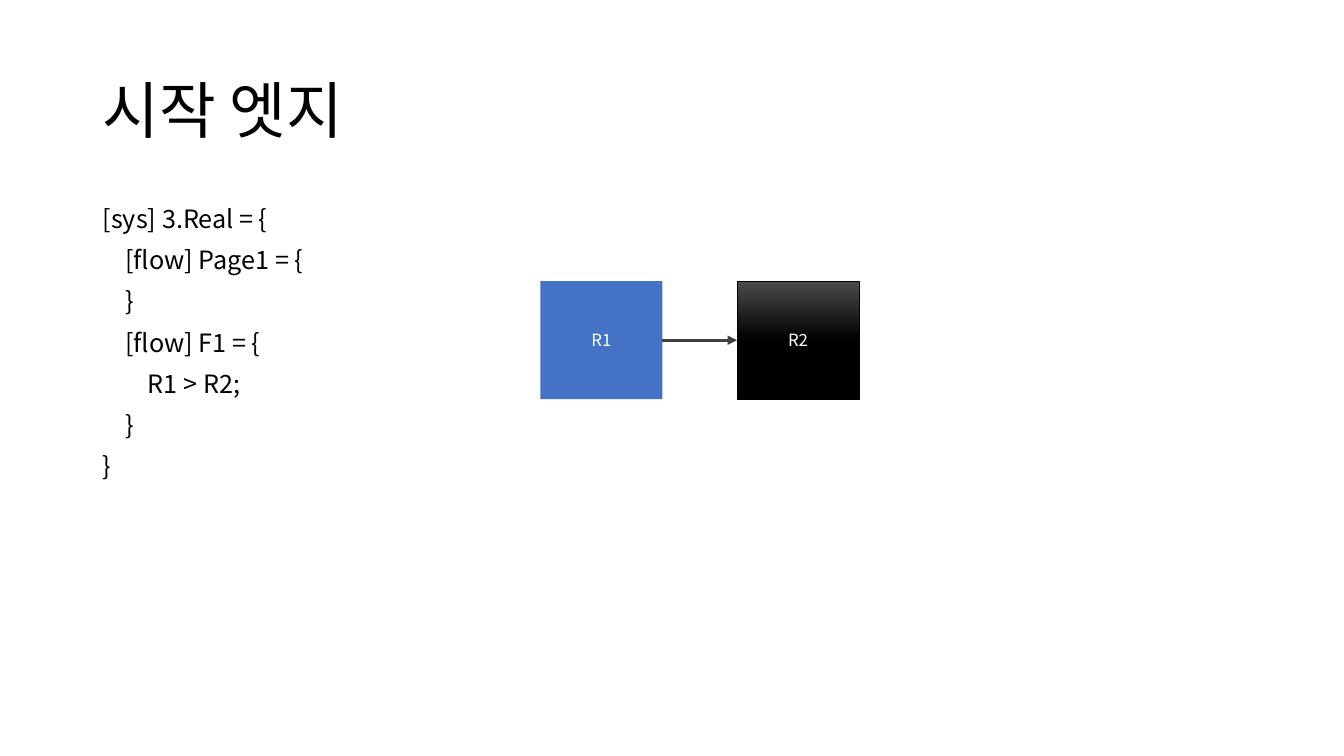
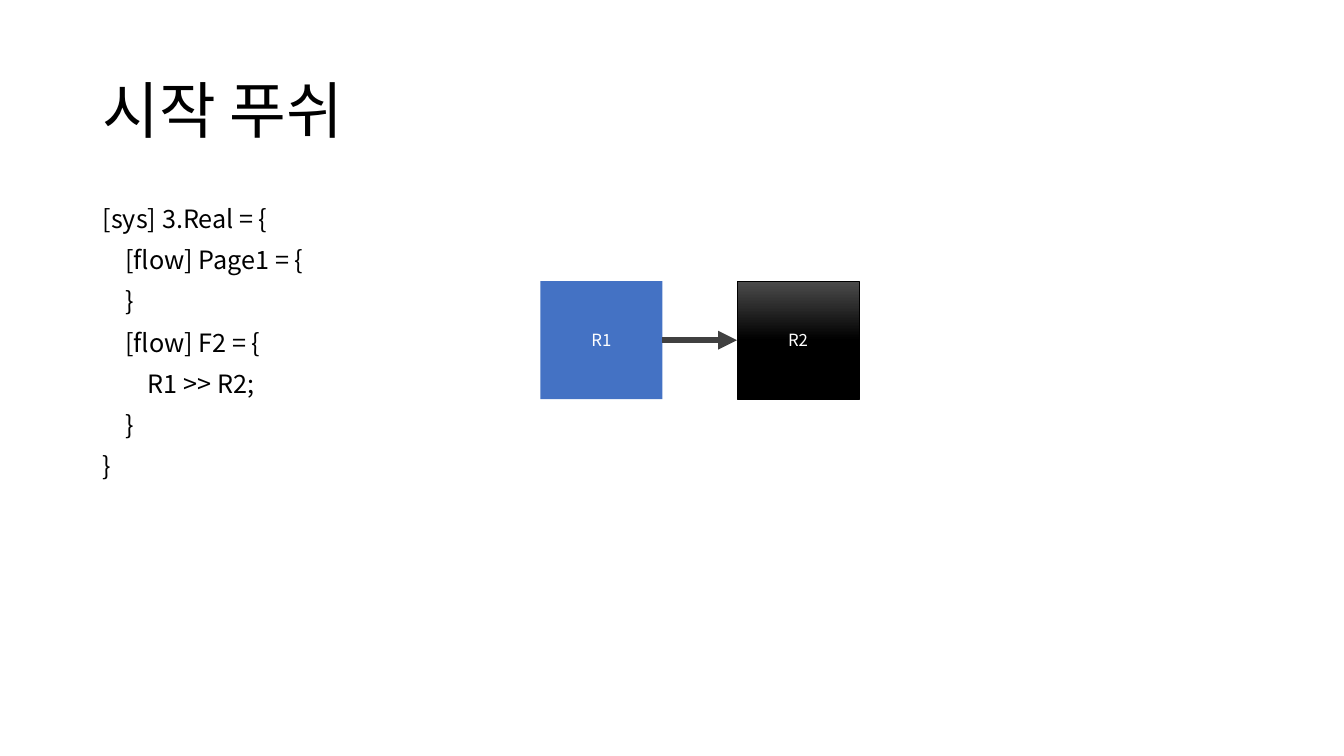
from copy import deepcopy

from lxml import etree
from pptx import Presentation
from pptx import util as u
from pptx.dml.color import RGBColor
from pptx.enum import shapes, text
from pptx.oxml import ns

FONT = "Noto Sans CJK KR"
BLACK = RGBColor(0x00, 0x00, 0x00)
WHITE = RGBColor(0xFF, 0xFF, 0xFF)
BLUE = RGBColor(0x44, 0x72, 0xC4)
GRAY = RGBColor(0x4B, 0x4B, 0x4B)
ARROW = RGBColor(0x40, 0x40, 0x40)

CODE = """[sys] 3.Real = {{
    [flow] Page1 = {{
    }}
    [flow] {flow} = {{
        R1 {operator} R2;
    }}
}}"""

SLIDES = [
    {"title": "시작 엣지", "flow": "F1", "operator": ">", "arrow_width": 2.25},
    {"title": "시작 푸쉬", "flow": "F2", "operator": ">>", "arrow_width": 4.5},
]

MARGIN, CONTENT_WIDTH = 0.92, 11.5
NODE_LEFT, NODE_TOP, NODE_WIDTH, NODE_HEIGHT = 5.36, 2.79, 1.21, 1.17
NODE_STEP = 1.95


def add_xml(parent, tag, **attributes):
    return etree.SubElement(parent, ns.qn(tag), **attributes)


def style(paragraph, size, color):
    """Set the font for both Latin and Korean text."""
    font = paragraph.font
    font.name, font.size = FONT, u.Pt(size)
    font.color.rgb = color
    add_xml(font._element, "a:ea", typeface=FONT)


def add_text(slide, top, height, lines, size, anchor, gap=0):
    box = slide.shapes.add_textbox(
        u.Inches(MARGIN), u.Inches(top), u.Inches(CONTENT_WIDTH), u.Inches(height))
    frame = box.text_frame
    frame.word_wrap = True
    frame.vertical_anchor = anchor
    frame.text = "\n".join(lines)
    for index, paragraph in enumerate(frame.paragraphs):
        paragraph.line_spacing = 0.9
        paragraph.space_before = u.Pt(gap if index else 0)
        style(paragraph, size, BLACK)


def add_node(slide, column, label):
    node = slide.shapes.add_shape(
        shapes.MSO_SHAPE.RECTANGLE,
        u.Inches(NODE_LEFT + column * NODE_STEP), u.Inches(NODE_TOP),
        u.Inches(NODE_WIDTH), u.Inches(NODE_HEIGHT))
    node.shadow.inherit = False
    frame = node.text_frame
    frame.text = label
    frame.vertical_anchor = text.MSO_ANCHOR.MIDDLE
    paragraph = frame.paragraphs[0]
    paragraph.alignment = text.PP_ALIGN.CENTER
    style(paragraph, 12, WHITE)
    return node


def fill_dark(node):
    """Fade from gray to black by mid-height, with a thin black outline."""
    node.fill.gradient()
    node.fill.gradient_angle = 270
    start, middle = node.fill.gradient_stops
    start.color.rgb, start.position = GRAY, 0
    middle.color.rgb, middle.position = BLACK, 0.5
    stops = node._element.spPr.find(".//" + ns.qn("a:gsLst"))
    end = deepcopy(stops[-1])
    end.set("pos", "100000")
    stops.append(end)
    node.line.color.rgb = BLACK
    node.line.width = u.Pt(0.5)


def add_arrow(slide, source, target, width):
    middle = source.top + source.height // 2
    arrow = slide.shapes.add_connector(
        shapes.MSO_CONNECTOR.STRAIGHT,
        source.left + source.width, middle, target.left, middle)
    arrow.begin_connect(source, 3)
    arrow.end_connect(target, 1)
    arrow.line.color.rgb = ARROW
    arrow.line.width = u.Pt(width)
    add_xml(arrow.line._get_or_add_ln(), "a:tailEnd", type="triangle")
    add_xml(arrow._element.spPr, "a:effectLst")


def build_slide(deck, content):
    slide = deck.slides.add_slide(deck.slide_layouts[6])
    add_text(slide, 0.4, 1.45, [content["title"]], 44, text.MSO_ANCHOR.MIDDLE)
    code = CODE.format(flow=content["flow"], operator=content["operator"])
    add_text(slide, 2, 4.76, code.splitlines(), 18, text.MSO_ANCHOR.TOP, gap=10)

    first, second = (add_node(slide, i, label) for i, label in enumerate(("R1", "R2")))
    first.fill.solid()
    first.fill.fore_color.rgb = BLUE
    first.line.fill.background()
    fill_dark(second)
    add_arrow(slide, first, second, content["arrow_width"])


def main():
    deck = Presentation()
    deck.slide_width, deck.slide_height = u.Inches(13.33), u.Inches(7.5)
    for content in SLIDES:
        build_slide(deck, content)
    deck.save("out.pptx")


if __name__ == "__main__":
    main()
